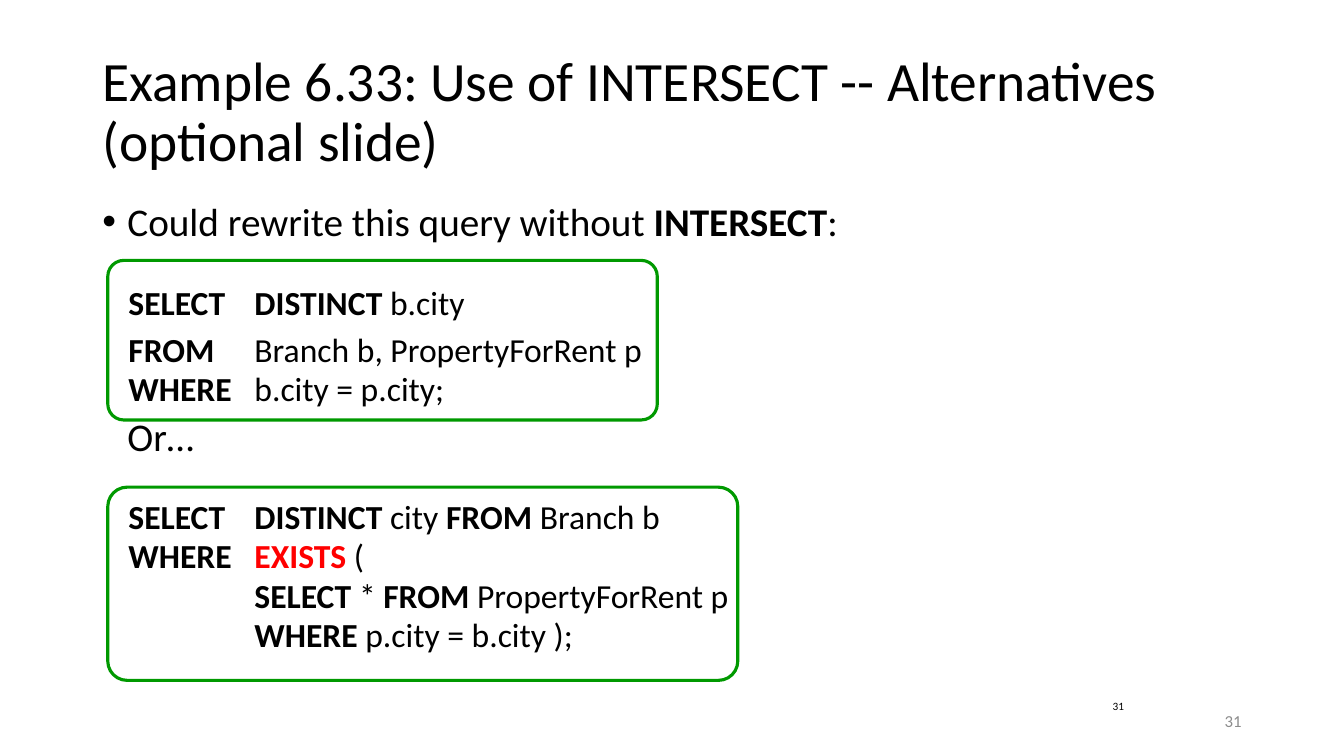
from lxml.etree import SubElement
from pptx import Presentation
from pptx.dml.color import RGBColor
from pptx.enum.shapes import MSO_SHAPE as Shape
from pptx.enum.text import MSO_ANCHOR as Anchor, PP_ALIGN as Align
from pptx.oxml.ns import qn
from pptx.util import Pt

BLACK = RGBColor(0, 0, 0)
GRAY = RGBColor(0x8C, 0x8C, 0x8C)
RED = RGBColor(0xFF, 0, 0)
GREEN = RGBColor(0, 0x99, 0)
FONT = "Calibri"

CODE = (108.7, -90)
PLAIN = (18, 0)
POINT = (18, -18)

# Text with bold parts between bars, size, space before, indents
BODY = [
    ("Could rewrite this query without |INTERSECT|:", 28, 10, POINT),
    ("|SELECT\tDISTINCT |b.city", 24, 32.7, CODE),
    ("|FROM|\tBranch b, PropertyForRent p", 24, 10, CODE),
    ("|WHERE\t|b.city = p.city;", 24, 5, CODE),
    ("Or…", 28, 10, PLAIN),
    ("|SELECT\tDISTINCT |city |FROM| Branch b", 24, 31.7, CODE),
    ("|WHERE\tEXISTS |(", 24, 5, CODE),
    ("\t|SELECT| * |FROM| PropertyForRent p", 24, 5, CODE),
    ("\t|WHERE |p.city = b.city );", 24, 5, CODE),
]


def add_box(slide, left, top, width, height, anchor=Anchor.TOP, wrap=True):
    box = slide.shapes.add_textbox(Pt(left), Pt(top), Pt(width), Pt(height))
    frame = box.text_frame
    frame.word_wrap = wrap
    frame.vertical_anchor = anchor
    return frame


def set_font(para, size, color=BLACK):
    font = para.font
    font.name, font.size = FONT, Pt(size)
    font.color.rgb = color


def add_label(slide, text, area, size, color=BLACK, align=Align.LEFT, wrap=True):
    para = add_box(slide, *area, Anchor.MIDDLE, wrap).paragraphs[0]
    para.text = text
    para.alignment = align
    set_font(para, size, color)
    return para


def add_runs(para, text):
    """Add runs, bold between bars, with the keyword EXISTS in red."""
    for i, part in enumerate(text.split("|")):
        head, key, tail = part.partition("EXISTS ")
        for piece in filter(None, (head, key, tail)):
            run = para.add_run()
            run.text = piece
            if i % 2:
                run.font.bold = True
            if piece == key:
                run.font.color.rgb = RED


def set_indent(para, left, first):
    """Set the indents, and a bullet when the line is a point."""
    props = para._p.get_or_add_pPr()
    props.set("marL", str(Pt(left)))
    props.set("indent", str(Pt(first)))
    if (left, first) == POINT:
        SubElement(props, qn("a:buFont"), typeface="Arial")
        SubElement(props, qn("a:buChar"), char="•")


def add_body(slide):
    frame = add_box(slide, 66, 144, 828, 342.7)
    for i, (text, size, gap, indent) in enumerate(BODY):
        para = frame.add_paragraph() if i else frame.paragraphs[0]
        para.line_spacing = 0.8
        para.space_before = Pt(gap)
        set_indent(para, *indent)
        add_runs(para, text)
        set_font(para, size)


def add_border(slide, left, top, width, height):
    area = map(Pt, (left, top, width, height))
    shape = slide.shapes.add_shape(Shape.ROUNDED_RECTANGLE, *area)
    shape.adjustments[0] = 0.1
    shape.shadow.inherit = False
    shape.fill.background()
    shape.line.color.rgb = GREEN
    shape.line.width = Pt(2.25)


def main():
    deck = Presentation()
    deck.slide_width, deck.slide_height = Pt(960), Pt(540)
    slide = deck.slides.add_slide(deck.slide_layouts[6])
    title = "Example 6.33: Use of INTERSECT -- Alternatives\v(optional slide)"
    add_label(slide, title, (66, 28.75, 828, 104.4), 39.6).line_spacing = 0.9
    add_body(slide)
    add_label(slide, "31", (678, 500.5, 216, 28.75), 12, GRAY, Align.RIGHT)
    add_label(slide, "31", (660, 486, 150, 36), 8, BLACK, Align.RIGHT, False)
    add_border(slide, 77, 186, 392.5, 114)
    add_border(slide, 77, 348, 450, 138)
    deck.save("out.pptx")


if __name__ == "__main__":
    main()
